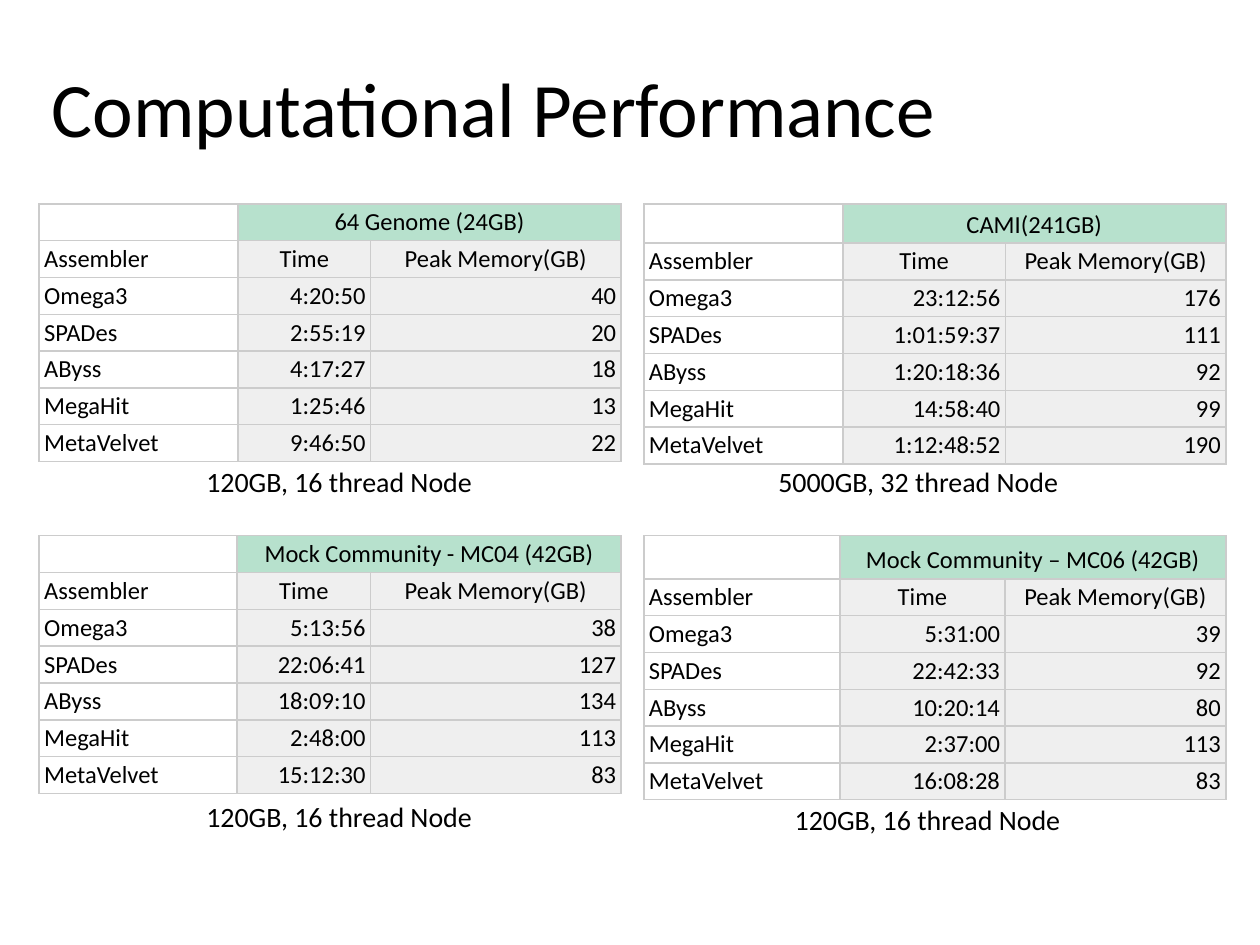
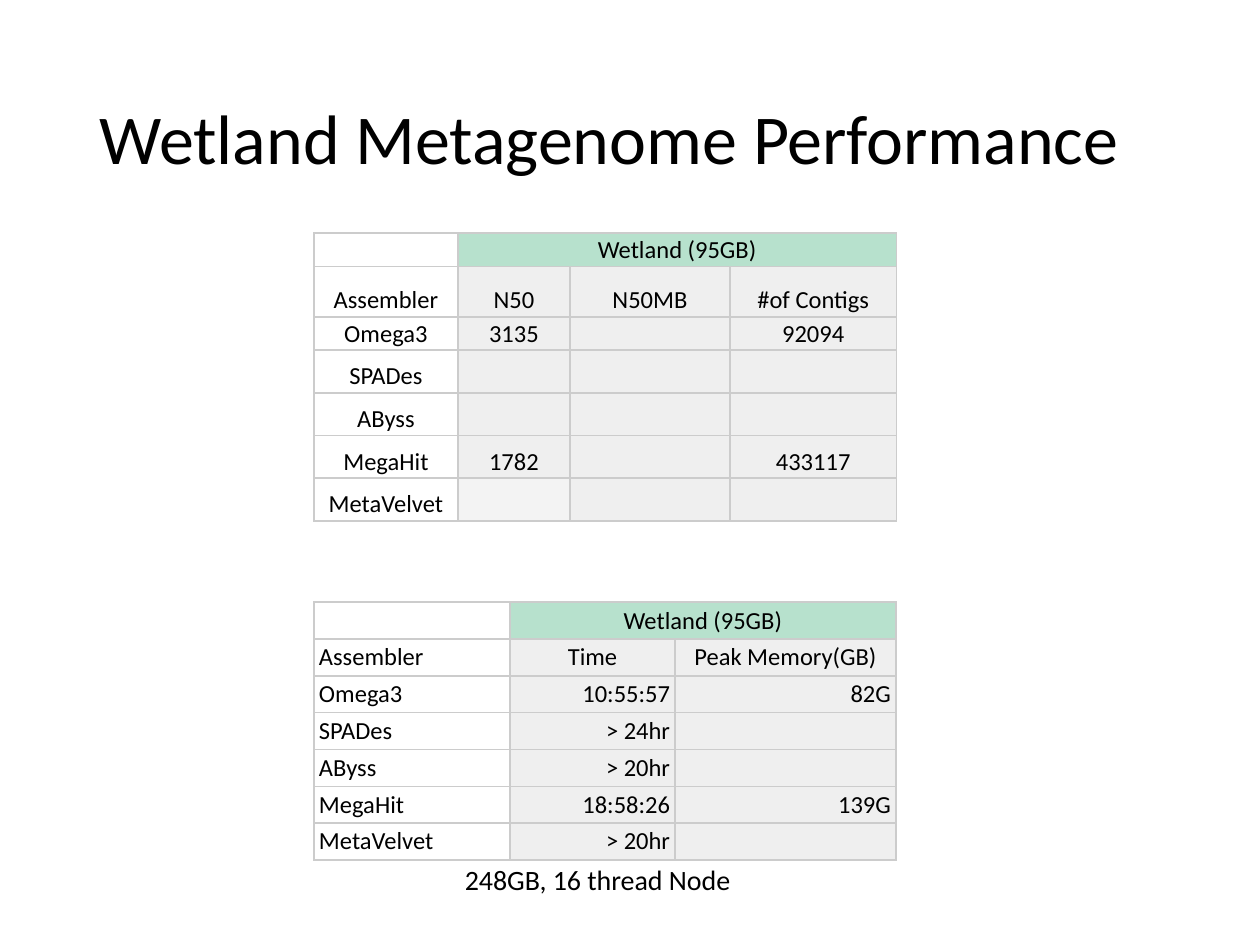
from lxml import etree
from pptx import Presentation
from pptx.dml.color import RGBColor
from pptx.enum import text
from pptx.oxml import ns
from pptx.util import Cm, Pt

INK = RGBColor(0x00, 0x00, 0x00)
MINT = RGBColor(0xB7, 0xE1, 0xCD)
GREY = RGBColor(0xEF, 0xEF, 0xEF)
PALE = RGBColor(0xF3, 0xF3, 0xF3)
EDGE = RGBColor(0xCC, 0xCC, 0xCC)
FONT = "Calibri"
LEFT, MID, RIGHT = text.PP_ALIGN.LEFT, text.PP_ALIGN.CENTER, text.PP_ALIGN.RIGHT
TOOLS = ["Omega3", "SPADes", "AByss", "MegaHit", "MetaVelvet"]
COST = ["Time", "Peak Memory(GB)"]
ROW = 0.74


def style(par, size, align):
    """Set the font and alignment of one paragraph."""
    par.alignment = align
    par.font.name, par.font.size = FONT, Pt(size)
    par.font.color.rgb = INK


def add_grid(slide, x, y, cols, rows, head, names, data, aligns, pad):
    """Add a bordered table: a merged heading, column names, one row per tool."""
    body = [["", head] + [""] * (len(cols) - 2), ["Assembler"] + names]
    body += [[tool] + vals for tool, vals in zip(TOOLS, data)]
    frame = slide.shapes.add_table(len(rows), len(cols), Cm(x), Cm(y),
                                   Cm(sum(cols)), Cm(sum(rows)))
    table = frame.table
    table.first_row = table.horz_banding = False
    for col, wide in zip(table.columns, cols):
        col.width = Cm(wide)
    for row, high in zip(table.rows, rows):
        row.height = Cm(high)
    for r, line in enumerate(body):
        for c, word in enumerate(line):
            cell = table.cell(r, c)
            cell.text = word
            cell.vertical_anchor = text.MSO_ANCHOR.BOTTOM
            cell.margin_left = cell.margin_right = Cm(pad[0])
            cell.margin_top = cell.margin_bottom = Cm(pad[1])
            align = MID if r < 2 and c else aligns[min(c, 1)]
            style(cell.text_frame.paragraphs[0], 14, align)
            props = cell._tc.get_or_add_tcPr()
            for side in ("a:lnL", "a:lnR", "a:lnT", "a:lnB"):
                edge = etree.SubElement(props, ns.qn(side), w=str(Pt(1)))
                fill = etree.SubElement(edge, ns.qn("a:solidFill"))
                etree.SubElement(fill, ns.qn("a:srgbClr"), val=str(EDGE))
            if c == 0:
                cell.fill.background()
            else:
                cell.fill.solid()
                cell.fill.fore_color.rgb = GREY if r else MINT
    table.cell(0, 1).merge(table.cell(0, len(cols) - 1))
    return table


deck = Presentation()
deck.slide_width, deck.slide_height = Cm(25.4), Cm(19.05)

# Titles: wording, size, left, top, width
slides = []
for words, size, x, y, wide in [
        ("Computational Performance", 44, 0.79, 0.43, 29.21),
        ("Wetland Metagenome Performance", 40, 1.75, 1.02, 21.89)]:
    slide = deck.slides.add_slide(deck.slide_layouts[5])
    title = slide.shapes.title
    title.left, title.top = Cm(x), Cm(y)
    title.width, title.height = Cm(wide), Cm(3.68)
    frame = title.text_frame
    frame.text = words
    frame.auto_size = text.MSO_AUTO_SIZE.NONE
    frame.vertical_anchor = text.MSO_ANCHOR.MIDDLE
    style(frame.paragraphs[0], size, LEFT)
    frame.paragraphs[0].line_spacing = 0.9
    slides.append(slide)
perf, wet = slides

# Time and memory: slide, left, top, columns, heading row, heading, values
costs = [
    (perf, 0.79, 4.11, [4.01, 2.67, 5.05], ROW, "64 Genome (24GB)",
     [["4:20:50", "40"], ["2:55:19", "20"], ["4:17:27", "18"],
      ["1:25:46", "13"], ["9:46:50", "22"]]),
    (perf, 0.79, 10.8, [3.99, 2.69, 5.05], ROW, "Mock Community - MC04 (42GB)",
     [["5:13:56", "38"], ["22:06:41", "127"], ["18:09:10", "134"],
      ["2:48:00", "113"], ["15:12:30", "83"]]),
    (perf, 12.98, 4.11, [4.01, 3.28, 4.44], 0.79, "CAMI(241GB)",
     [["23:12:56", "176"], ["1:01:59:37", "111"], ["1:20:18:36", "92"],
      ["14:58:40", "99"], ["1:12:48:52", "190"]]),
    (perf, 12.98, 10.8, [3.95, 3.33, 4.45], 0.87, "Mock Community – MC06 (42GB)",
     [["5:31:00", "39"], ["22:42:33", "92"], ["10:20:14", "80"],
      ["2:37:00", "113"], ["16:08:28", "83"]]),
    (wet, 6.33, 12.14, [3.95, 3.33, 4.45], ROW, "Wetland (95GB)",
     [["10:55:57", "82G"], ["> 24hr", ""], ["> 20hr", ""],
      ["18:58:26", "139G"], ["> 20hr", ""]]),
]
for slide, x, y, cols, top, head, data in costs:
    add_grid(slide, x, y, cols, [top] + [ROW] * 6, head, COST, data,
             (LEFT, RIGHT), (0.1, 0.07))

# Assembly quality
blank = ["", "", ""]
table = add_grid(wet, 6.33, 4.7, [2.9, 2.26, 3.23, 3.35],
                 [0.67, 1.02, 0.67] + [0.86] * 4, "Wetland (95GB)",
                 ["N50", "N50MB", "#of Contigs"],
                 [["3135", "", "92094"], blank, blank,
                  ["1782", "", "433117"], blank],
                 (MID, MID), (0.04, 0.03))
table.cell(6, 1).fill.fore_color.rgb = PALE

# Node captions below the tables
for slide, words, x, y, wide in [
        (perf, "120GB, 16 thread Node", 3.91, 9.25, 6.12),
        (perf, "120GB, 16 thread Node", 15.77, 16.05, 6.12),
        (perf, "120GB, 16 thread Node", 3.91, 16, 6.12),
        (perf, "5000GB, 32 thread Node", 15.44, 9.25, 6.45),
        (wet, "248GB, 16 thread Node", 9.12, 17.27, 6.12)]:
    box = slide.shapes.add_textbox(Cm(x), Cm(y), Cm(wide), Cm(0.94))
    frame = box.text_frame
    frame.word_wrap = True
    frame.auto_size = text.MSO_AUTO_SIZE.SHAPE_TO_FIT_TEXT
    frame.text = words
    style(frame.paragraphs[0], 16, LEFT)

deck.save("out.pptx")
